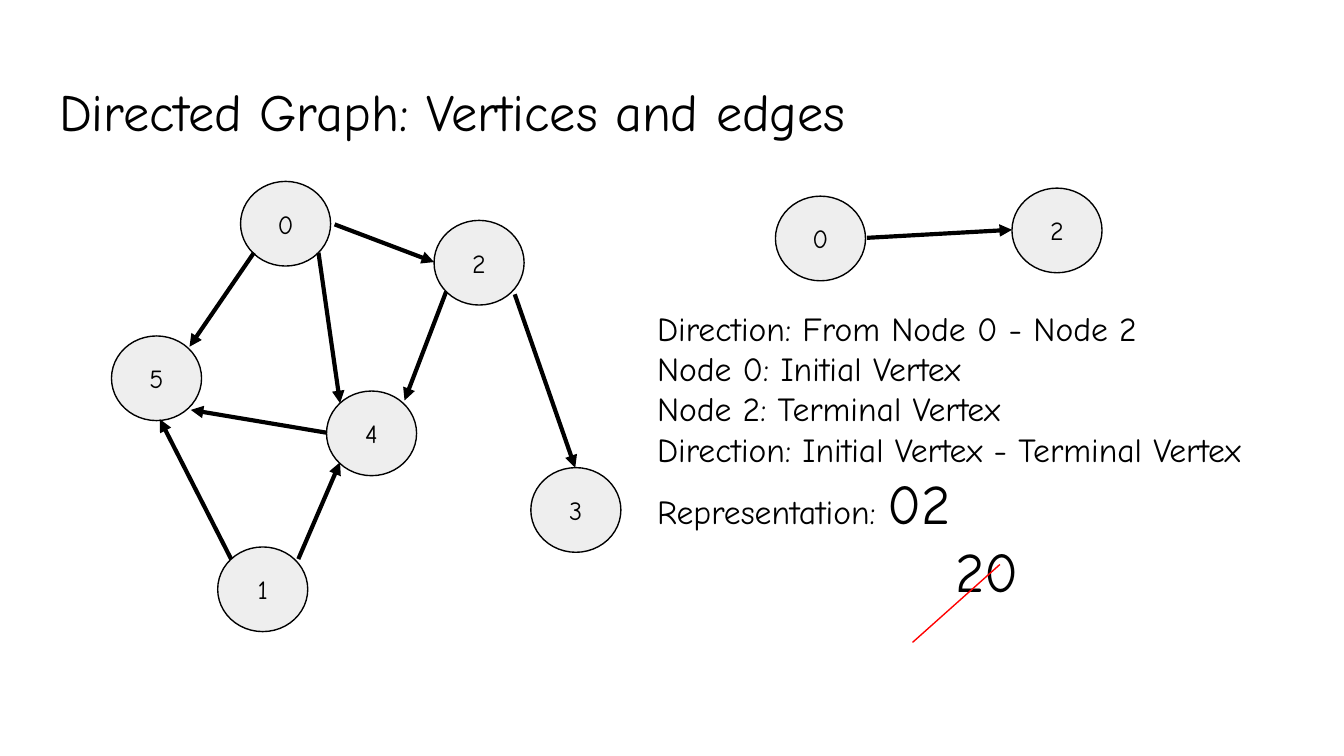
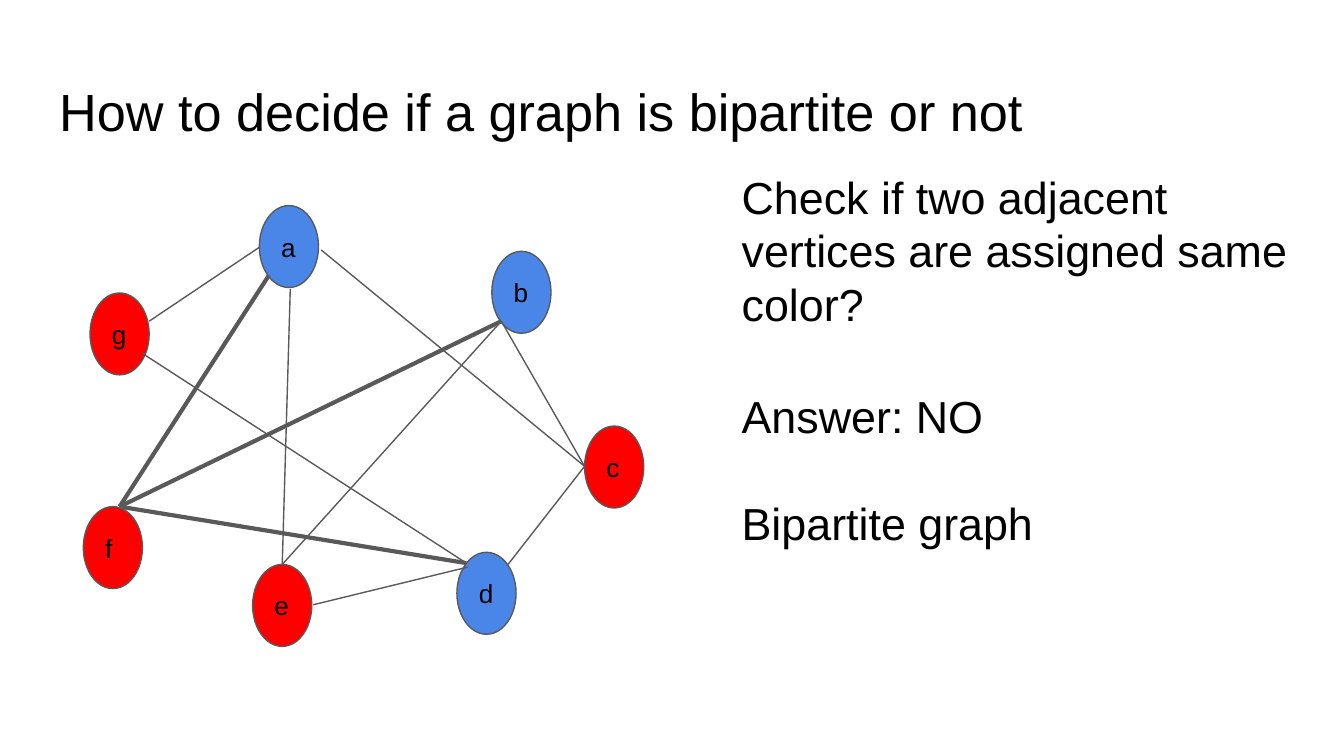
from pptx import Presentation
from pptx import util as u
from pptx.dml.color import RGBColor
from pptx.enum import shapes, text
from pptx.oxml.ns import qn
from lxml import etree

Inches, Pt = u.Inches, u.Pt
BLACK = RGBColor(0x00, 0x00, 0x00)
GRAY = RGBColor(0x59, 0x59, 0x59)
PALE = RGBColor(0xEE, 0xEE, 0xEE)
RED = RGBColor(0xFF, 0x00, 0x00)
BLUE = RGBColor(0x4A, 0x86, 0xE8)
COMIC, ARIAL = "Comic Neue", "Arial"
THIN, THICK = 0.75, 2.25


def write(frame, lines, font, size, align=text.PP_ALIGN.LEFT, anchor=text.MSO_ANCHOR.TOP):
    frame.word_wrap = True
    frame.auto_size = text.MSO_AUTO_SIZE.NONE
    frame.vertical_anchor = anchor
    frame.margin_left = frame.margin_right = Inches(0.1)
    frame.margin_top = frame.margin_bottom = Inches(0.1)
    frame.text = "\n".join(lines)
    for para in frame.paragraphs:
        para.alignment = align
        for span in para.runs:
            span.font.name = font
            span.font.size = Pt(size)
            span.font.color.rgb = BLACK


def join(page, start, end, color, width, arrow=False):
    ends = [Inches(value) for value in (*start, *end)]
    edge = page.shapes.add_connector(shapes.MSO_CONNECTOR.STRAIGHT, *ends)
    edge.line.color.rgb = color
    edge.line.width = Pt(width)
    if arrow:
        line = edge._element.spPr.find(qn("a:ln"))
        etree.SubElement(line, qn("a:tailEnd"), type="triangle")
    etree.SubElement(edge._element.spPr, qn("a:effectLst"))


deck = Presentation()
deck.slide_width = Inches(10)
deck.slide_height = Inches(10 * 9 / 16)

directed_nodes = [
    ("0", 1.79, 1.35, PALE), ("2", 3.23, 1.64, PALE), ("4", 2.43, 2.91, PALE),
    ("3", 3.95, 3.48, PALE), ("1", 1.62, 4.07, PALE), ("5", 0.83, 2.5, PALE),
    ("0", 5.77, 1.46, PALE), ("2", 7.53, 1.4, PALE),
]
directed_edges = [
    ((1.89, 1.88), (1.41, 2.58), THICK),
    ((2.49, 1.67), (3.23, 1.95), THICK),
    ((2.37, 1.88), (2.53, 3), THICK),
    ((2.43, 3.22), (1.42, 3.05), THICK),
    ((1.72, 4.16), (1.19, 3.12), THICK),
    ((2.22, 4.16), (2.53, 3.44), THICK),
    ((3.32, 2.17), (3.01, 2.98), THICK),
    ((3.83, 2.19), (4.28, 3.48), THICK),
    ((6.45, 1.77), (7.53, 1.71), THICK),
]

bipartite_nodes = [
    ("a", 1.93, 1.53, BLUE), ("b", 3.66, 1.87, BLUE), ("e", 1.88, 4.2, RED),
    ("d", 3.4, 4.11, BLUE), ("c", 4.35, 3.17, RED), ("g", 0.67, 2.18, RED),
    ("f", 0.62, 3.77, RED),
]
b_foot, c_side, d_top = (3.73, 2.39), (4.35, 3.47), (3.47, 4.19)
e_top, f_top = (2.1, 4.2), (0.89, 3.77)
bipartite_edges = [
    ((1.11, 2.39), (1.93, 1.84), THIN),
    ((2.39, 1.86), c_side, THIN),
    ((2, 2.05), f_top, THICK),
    ((2.16, 2.15), e_top, THIN),
    (b_foot, c_side, THIN),
    (b_foot, e_top, THIN),
    (b_foot, f_top, THICK),
    ((1.06, 2.63), d_top, THIN),
    ((3.78, 4.2), c_side, THIN),
    (d_top, f_top, THICK),
    ((3.48, 4.22), (2.33, 4.5), THIN),
]

graphs = [
    ("Directed Graph: Vertices and edges", COMIC, directed_nodes, (0.67, 0.63),
     text.PP_ALIGN.CENTER, directed_edges, BLACK, True),
    ("How to decide if a graph is bipartite or not", ARIAL, bipartite_nodes, (0.44, 0.61),
     text.PP_ALIGN.LEFT, bipartite_edges, GRAY, False),
]
pages = []
for heading, font, nodes, (width, height), align, edges, ink, arrow in graphs:
    page = deck.slides.add_slide(deck.slide_layouts[5])
    pages.append(page)
    title = page.shapes.title
    title.left, title.top = Inches(0.34), Inches(0.49)
    title.width, title.height = Inches(9.32), Inches(0.63)
    write(title.text_frame, [heading], font, 28)
    for label, left, top, color in nodes:
        node = page.shapes.add_shape(
            shapes.MSO_SHAPE.FLOWCHART_CONNECTOR,
            Inches(left), Inches(top), Inches(width), Inches(height))
        node.shadow.inherit = False
        node.fill.solid()
        node.fill.fore_color.rgb = color
        node.line.color.rgb = ink
        node.line.width = Pt(THIN)
        write(node.text_frame, [label], font, 14, align, text.MSO_ANCHOR.MIDDLE)
    for start, end, weight in edges:
        join(page, start, end, ink, weight, arrow)

directed, bipartite = pages

box = directed.shapes.add_textbox(Inches(4.79), Inches(2.19), Inches(4.98), Inches(2.76))
facts = [
    "Direction: From Node 0 - Node 2",
    "Node 0: Initial Vertex",
    "Node 2: Terminal Vertex",
    "Direction: Initial Vertex - Terminal Vertex",
    "Representation: ",
    "20",
]
write(box.text_frame, facts, COMIC, 18)
valid, reverse = box.text_frame.paragraphs[-2:]
pair = valid.add_run()
pair.text = "02"
pair.font.name = COMIC
pair.font.color.rgb = BLACK
pair.font.size = reverse.runs[0].font.size = Pt(30)
reverse._p.get_or_add_pPr().set("marL", str(Inches(2.22)))
join(directed, (7.44, 4.2), (6.79, 4.78), RED, THIN)

for top, lines in [
    (1.16, ["Check if two adjacent vertices are assigned same color?"]),
    (2.79, ["Answer: NO", "Bipartite graph"]),
]:
    box = bipartite.shapes.add_textbox(Inches(5.42), Inches(top), Inches(4.46), Inches(0.52))
    write(box.text_frame, lines, ARIAL, 24)
    for para in box.text_frame.paragraphs[1:]:
        para.space_before = Pt(28.8)

deck.save("out.pptx")
